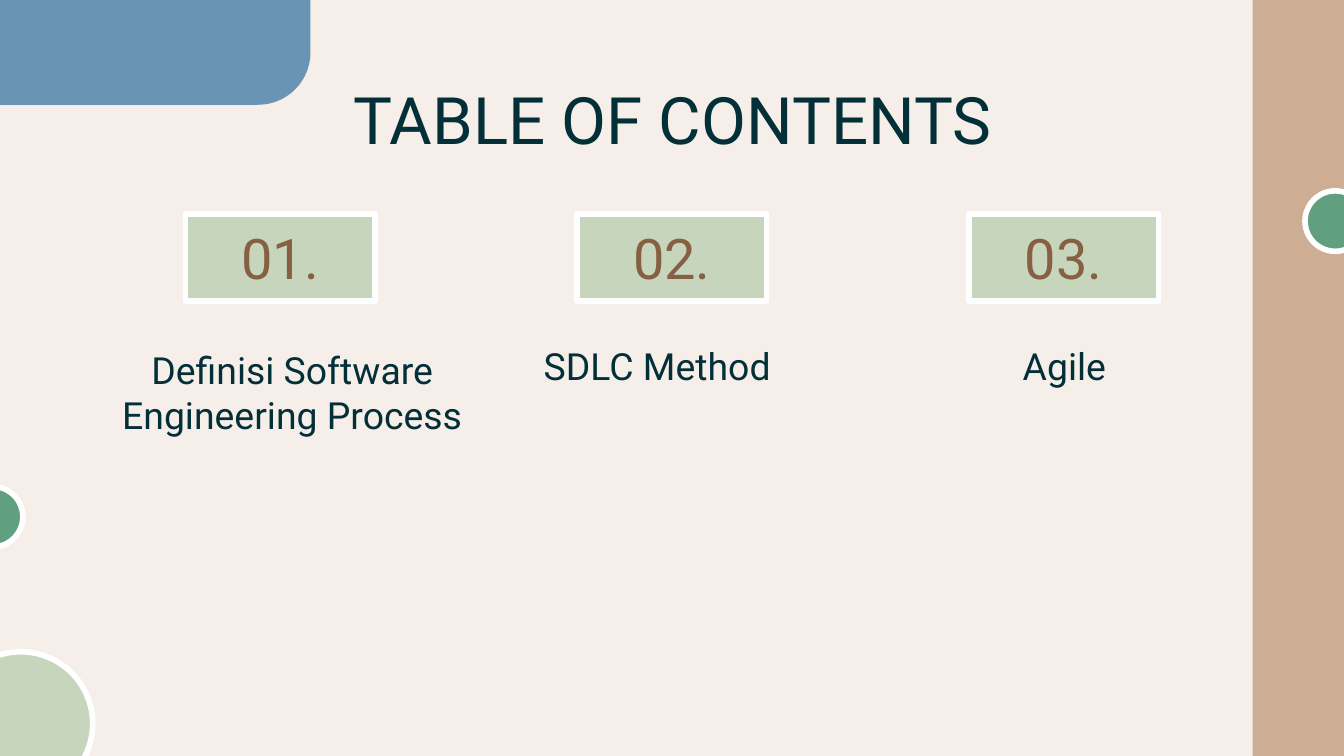
from pptx import Presentation
from pptx.dml.color import RGBColor
from pptx.enum.shapes import MSO_SHAPE
from pptx.enum.text import MSO_ANCHOR, PP_ALIGN
from pptx.util import Inches, Pt

# Content: number, topic, topic box (left, top, width)
TOPICS = [
    ("01.", "Definisi Software Engineering Process", (0.79, 2.82, 2.77)),
    ("02.", "SDLC Method", (3.7, 2.46, 2.38)),
    ("03.", "Agile", (6.73, 2.46, 2.38)),
]
# Circles: left, top, diameter, fill
DOTS = [
    (-0.38, 4.85, 1.07, "C8D5BD"),
    (9.71, 1.42, 0.45, "619F81"),
    (-0.28, 3.62, 0.45, "619F81"),
]
WIDE = 10
HIGH = WIDE * 9 / 16
INK, BROWN, SAGE, WHITE = "032F39", "856042", "C8D5BD", "FFFFFF"
LEFT, LAST = 1.38, 7.21  # first and last number column
STEP = (LAST - LEFT) / (len(TOPICS) - 1)


def tint(color):
    return RGBColor.from_string(color)


def draw(kind, box, fill, edge=None):
    shape = slide.shapes.add_shape(kind, *map(Inches, box))
    shape.shadow.inherit = False
    shape.fill.solid()
    shape.fill.fore_color.rgb = tint(fill)
    if edge:
        shape.line.color.rgb = tint(edge)
        shape.line.width = Pt(3)
    else:
        shape.line.fill.background()
    return shape


def write(shape, text, size, color, anchor):
    frame = shape.text_frame
    frame.word_wrap = True
    frame.vertical_anchor = anchor
    frame.margin_left = frame.margin_right = Inches(0.1)
    frame.margin_top = frame.margin_bottom = Inches(0.1)
    line = frame.paragraphs[0]
    line.text = text
    line.alignment = PP_ALIGN.CENTER
    line.font.name = "Roboto"
    line.font.size = Pt(size)
    line.font.color.rgb = tint(color)


def label(box, text, size, anchor):
    write(slide.shapes.add_textbox(*map(Inches, box)), text, size, INK, anchor)


deck = Presentation()
deck.slide_width, deck.slide_height = Inches(WIDE), Inches(HIGH)
slide = deck.slides.add_slide(deck.slide_layouts[6])
slide.background.fill.solid()
slide.background.fill.fore_color.rgb = tint("F6EEE8")

# Corner block, rounded at bottom right, and side band
corner = draw(MSO_SHAPE.ROUND_1_RECTANGLE, (0, 0, 2.31, 0.78), "6994B3")
corner.adjustments[0] = 0.5
corner._element.spPr.xfrm.set("flipV", "1")
draw(MSO_SHAPE.RECTANGLE, (9.32, 0, 0.68, HIGH), "CDAD93")

# Circles
for left, top, size, fill in DOTS:
    draw(MSO_SHAPE.OVAL, (left, top, size, size), fill, WHITE)

# Title
label((0.79, 0.49, 8.43, 0.63), "TABLE OF CONTENTS", 35, MSO_ANCHOR.TOP)

# Numbers and topics
for col, (number, topic, place) in enumerate(TOPICS):
    tile = draw(MSO_SHAPE.RECTANGLE, (LEFT + col * STEP, 1.59, 1.41, 0.65),
                SAGE, WHITE)
    write(tile, number, 30, BROWN, MSO_ANCHOR.MIDDLE)
    label((*place, 0.53), topic, 20, MSO_ANCHOR.BOTTOM)

deck.save("out.pptx")
